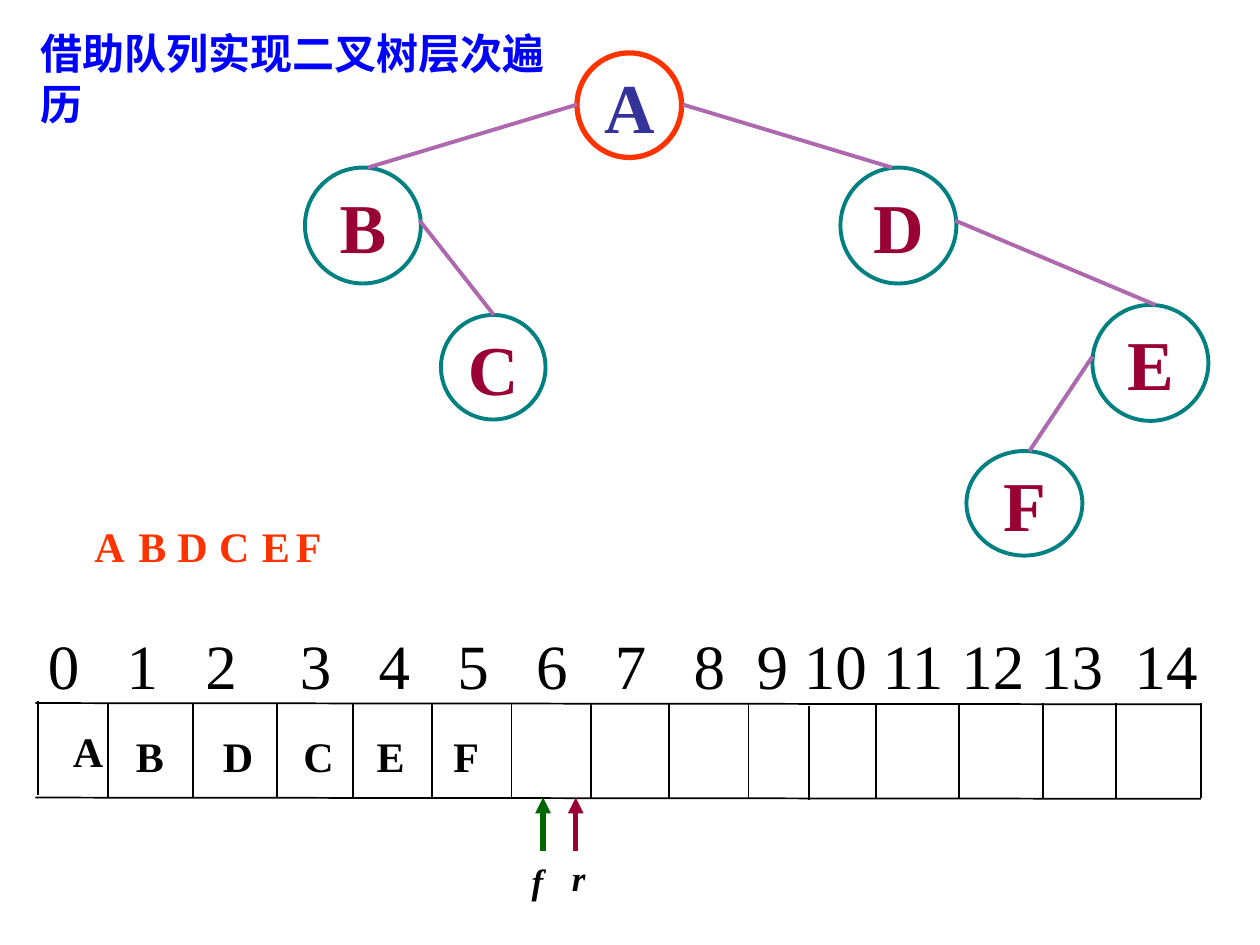
from itertools import accumulate

from lxml import etree
from pptx import Presentation
from pptx.dml.color import RGBColor
from pptx.enum.shapes import MSO_CONNECTOR, MSO_SHAPE
from pptx.enum.text import MSO_ANCHOR, PP_ALIGN
from pptx.oxml.ns import qn
from pptx.util import Inches, Pt

STRAIGHT = MSO_CONNECTOR.STRAIGHT
OVAL = MSO_SHAPE.OVAL
TOP, MIDDLE = MSO_ANCHOR.TOP, MSO_ANCHOR.MIDDLE
LEFT, CENTER = PP_ALIGN.LEFT, PP_ALIGN.CENTER

BLACK = RGBColor(0x00, 0x00, 0x00)
WHITE = RGBColor(0xFF, 0xFF, 0xFF)
BLUE = RGBColor(0x00, 0x00, 0xFF)
INDIGO = RGBColor(0x33, 0x33, 0x99)
ORANGE = RGBColor(0xFF, 0x33, 0x00)
TEAL = RGBColor(0x00, 0x80, 0x80)
CRIMSON = RGBColor(0x99, 0x00, 0x33)
PURPLE = RGBColor(0xAE, 0x68, 0xAE)
GREEN = RGBColor(0x00, 0x66, 0x00)

SERIF = "Times New Roman"
SANS = "Noto Sans CJK SC"

NODES = [
    ("A", 4.58, 0.42, 0.83, 0.83, ORANGE, 3, INDIGO),
    ("B", 2.42, 1.33, 0.92, 0.92, TEAL, 2.25, CRIMSON),
    ("C", 3.5, 2.5, 0.83, 0.83, TEAL, 2.25, CRIMSON),
    ("D", 6.67, 1.33, 0.92, 0.92, TEAL, 2.25, CRIMSON),
    ("E", 8.67, 2.42, 0.92, 0.92, TEAL, 2.25, CRIMSON),
    ("F", 7.67, 3.58, 0.92, 0.83, TEAL, 2.25, CRIMSON),
]
EDGES = [
    (4.58, 0.83, 2.92, 1.33),
    (3.33, 1.75, 3.92, 2.5),
    (5.42, 0.83, 7.08, 1.33),
    (7.58, 1.75, 9.17, 2.42),
    (8.67, 2.83, 8.17, 3.58),
]
QUEUE_TOP, QUEUE_HEIGHT = 5.58, 0.75
DIVIDERS = [0.86, 1.53, 2.2, 2.8, 3.43, 4.06, 4.69, 5.31, 5.94,
            6.95, 7.61, 8.28, 8.86, 9.53]
INDEX_STEPS = [0.625, 0.625, 0.75] + [0.625] * 5 + [0.5, 0.375] + [0.625] * 3 + [0.75]
QUEUED = [("A", 0.48, 5.71), ("B", 0.98, 5.75), ("D", 1.67, 5.75),
          ("C", 2.31, 5.75), ("E", 2.89, 5.75), ("F", 3.5, 5.75)]
VISITED = [("A", 0.65), ("B", 1), ("D", 1.31), ("C", 1.64), ("E", 1.98), ("F", 2.25)]
POINTERS = [("f", 4.31, GREEN, 4.12, 6.77), ("r", 4.57, CRIMSON, 4.44, 6.75)]


def style(para, size, color, name=SERIF, bold=True, italic=False):
    font = para.font
    font.name, font.size = name, Pt(size)
    font.bold, font.italic = bold, italic
    font.color.rgb = color


def add_line(page, x1, y1, x2, y2, color=BLACK, width=1, arrow=False):
    line = page.shapes.add_connector(
        STRAIGHT, Inches(x1), Inches(y1), Inches(x2), Inches(y2))
    line.line.color.rgb = color
    line.line.width = Pt(width)
    if arrow:
        etree.SubElement(line.line._get_or_add_ln(), qn("a:tailEnd"), type="triangle")
    etree.SubElement(line._element.spPr, qn("a:effectLst"))


def add_node(page, label, x, y, width, height, outline, weight, color):
    node = page.shapes.add_shape(
        OVAL, Inches(x), Inches(y), Inches(width), Inches(height))
    node.shadow.inherit = False
    node.fill.solid()
    node.fill.fore_color.rgb = WHITE
    node.line.color.rgb = outline
    node.line.width = Pt(weight)
    frame = node.text_frame
    frame.word_wrap = False
    frame.vertical_anchor = MIDDLE
    para = frame.paragraphs[0]
    para.text, para.alignment = label, CENTER
    style(para, 40, color)


def add_label(page, text, x, y, size=24, color=BLACK, italic=False):
    box = page.shapes.add_textbox(Inches(x), Inches(y), Inches(0.42), Inches(0.5))
    box.text_frame.word_wrap = False
    para = box.text_frame.paragraphs[0]
    para.text = text
    style(para, size, color, italic=italic)


def add_title(page, text):
    title = page.shapes.title
    title.left, title.top = Inches(0.22), Inches(0.17)
    title.width, title.height = Inches(4.53), Inches(0.5)
    frame = title.text_frame
    frame.word_wrap = False
    frame.vertical_anchor = TOP
    para = frame.paragraphs[0]
    para.text, para.alignment = text, LEFT
    style(para, 24, BLUE, SANS)
    properties = para._p.pPr.find(qn("a:defRPr"))
    etree.SubElement(properties, qn("a:ea"), typeface=SANS)


def add_indexes(page):
    box = page.shapes.add_textbox(Inches(0.2), Inches(4.92), Inches(9.8), Inches(0.7))
    frame = box.text_frame
    frame.word_wrap = True
    frame.margin_left = Inches(0.18)
    para = frame.paragraphs[0]
    para.text = "\t".join(str(index) for index in range(len(INDEX_STEPS) + 1))
    stops = etree.SubElement(para._p.get_or_add_pPr(), qn("a:tabLst"))
    for position in accumulate(INDEX_STEPS):
        etree.SubElement(stops, qn("a:tab"), pos=str(Inches(position)), algn="l")
    style(para, 36, BLACK, bold=False)


def add_queue(page):
    for y in (QUEUE_TOP, QUEUE_TOP + QUEUE_HEIGHT):
        add_line(page, 0.28, y, 9.53, y + 0.01)
    walls = [(x, QUEUE_TOP) for x in DIVIDERS] + [(0.3, 5.56), (6.42, 5.6)]
    for x, y in walls:
        add_line(page, x, y, x, y + QUEUE_HEIGHT)
    add_indexes(page)
    for letter, x, y in QUEUED:
        add_label(page, letter, x, y)


def main():
    deck = Presentation()
    deck.slide_width, deck.slide_height = Inches(10), Inches(7.5)
    page = deck.slides.add_slide(deck.slide_layouts[5])
    add_title(page, "借助队列实现二叉树层次遍历")
    add_queue(page)
    for node in NODES:
        add_node(page, *node)
    for edge in EDGES:
        add_line(page, *edge, color=PURPLE, width=2.25)
    for letter, x in VISITED:
        add_label(page, letter, x, 4.08, color=ORANGE)
    for name, x, color, label_x, label_y in POINTERS:
        add_line(page, x, 6.75, x, 6.33, color, 3, arrow=True)
        add_label(page, name, label_x, label_y, size=20, italic=True)
    deck.save("out.pptx")


if __name__ == "__main__":
    main()
